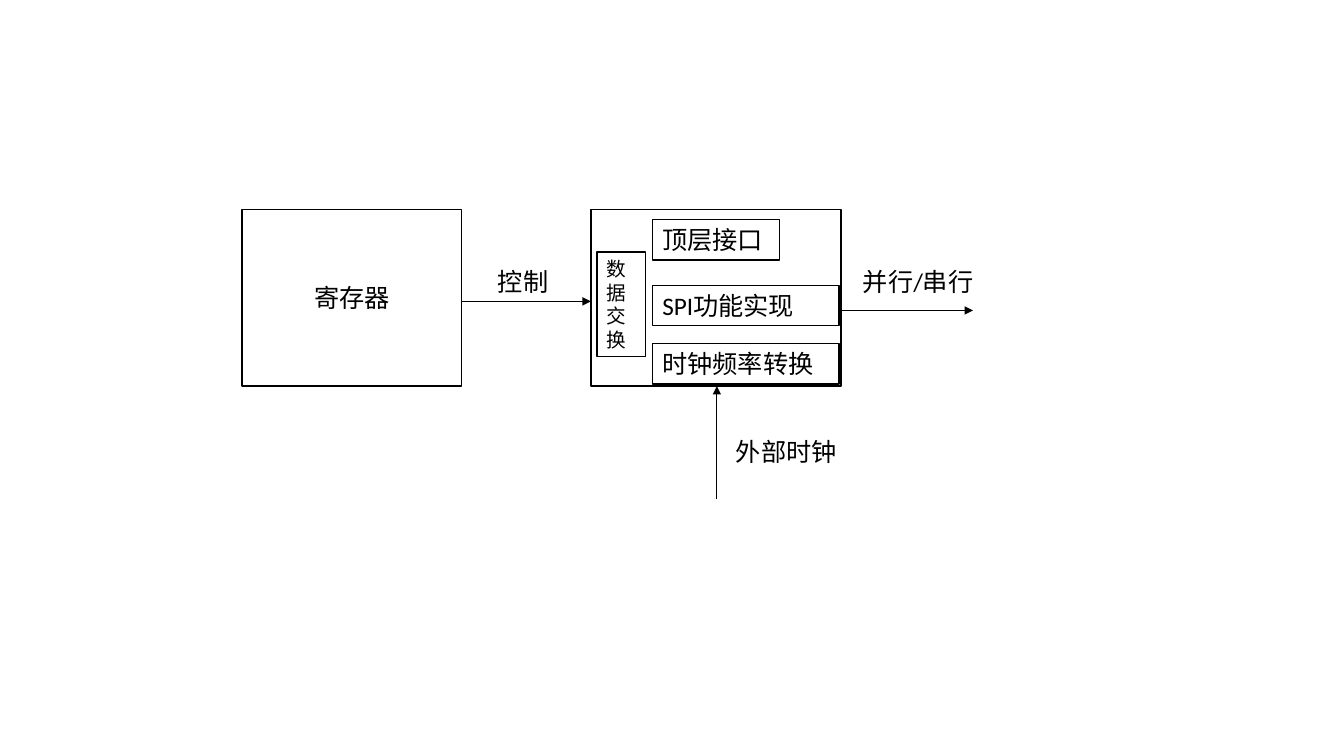
from pptx import Presentation
from pptx.dml.color import RGBColor
from pptx.enum import shapes, text
from pptx.oxml.ns import qn
from pptx.util import Inches, Pt
from lxml import etree

BLACK = RGBColor(0, 0, 0)
WHITE = RGBColor(255, 255, 255)
FONT = "Calibri"
LABEL_HEIGHT = 0.4


def write_text(shape, words, size=18, align=text.PP_ALIGN.LEFT, anchor=text.MSO_ANCHOR.TOP):
    frame = shape.text_frame
    frame.word_wrap = True
    frame.vertical_anchor = anchor
    paragraph = frame.paragraphs[0]
    paragraph.text = words
    paragraph.alignment = align
    paragraph.font.name = FONT
    paragraph.font.size = Pt(size)
    paragraph.font.color.rgb = BLACK


def add_box(slide, left, top, width, height):
    shape = slide.shapes.add_shape(
        shapes.MSO_SHAPE.RECTANGLE, Inches(left), Inches(top), Inches(width), Inches(height))
    shape.shadow.inherit = False
    shape.fill.solid()
    shape.fill.fore_color.rgb = WHITE
    shape.line.color.rgb = BLACK
    shape.line.width = Pt(1)
    return shape


def add_label(slide, words, left, top, width):
    label = slide.shapes.add_textbox(
        Inches(left), Inches(top), Inches(width), Inches(LABEL_HEIGHT))
    write_text(label, words)


def add_arrow(slide, start_x, start_y, end_x, end_y):
    arrow = slide.shapes.add_connector(
        shapes.MSO_CONNECTOR.STRAIGHT,
        Inches(start_x), Inches(start_y), Inches(end_x), Inches(end_y))
    arrow.line.color.rgb = BLACK
    arrow.line.width = Pt(0.5)
    etree.SubElement(arrow.line._get_or_add_ln(), qn("a:tailEnd"), type="triangle")
    etree.SubElement(arrow._element.spPr, qn("a:effectLst"))


def main():
    presentation = Presentation()
    presentation.slide_width = Inches(13.33)
    presentation.slide_height = Inches(7.5)
    slide = presentation.slides.add_slide(presentation.slide_layouts[6])

    add_box(slide, 5.86, 2.08, 2.48, 1.75)
    register = add_box(slide, 2.4, 2.08, 2.18, 1.75)
    write_text(register, "寄存器", align=text.PP_ALIGN.CENTER, anchor=text.MSO_ANCHOR.MIDDLE)

    add_arrow(slide, 8.35, 3.08, 9.65, 3.08)
    add_arrow(slide, 7.11, 4.95, 7.11, 3.83)
    add_arrow(slide, 4.58, 2.99, 5.86, 2.99)

    add_label(slide, "并行/串行", 8.46, 2.59, 1.44)
    add_label(slide, "外部时钟", 7.2, 4.28, 1.26)
    add_label(slide, "控制", 4.84, 2.59, 1.26)

    for words, top, width in (
        ("顶层接口", 2.18, 1.26),
        ("时钟频率转换", 3.41, 1.85),
        ("SPI功能实现", 2.83, 1.85),
    ):
        write_text(add_box(slide, 6.47, top, width, LABEL_HEIGHT), words)
    write_text(add_box(slide, 5.92, 2.5, 0.48, 1.04), "数据交换", size=14)

    presentation.save("out.pptx")


main()
